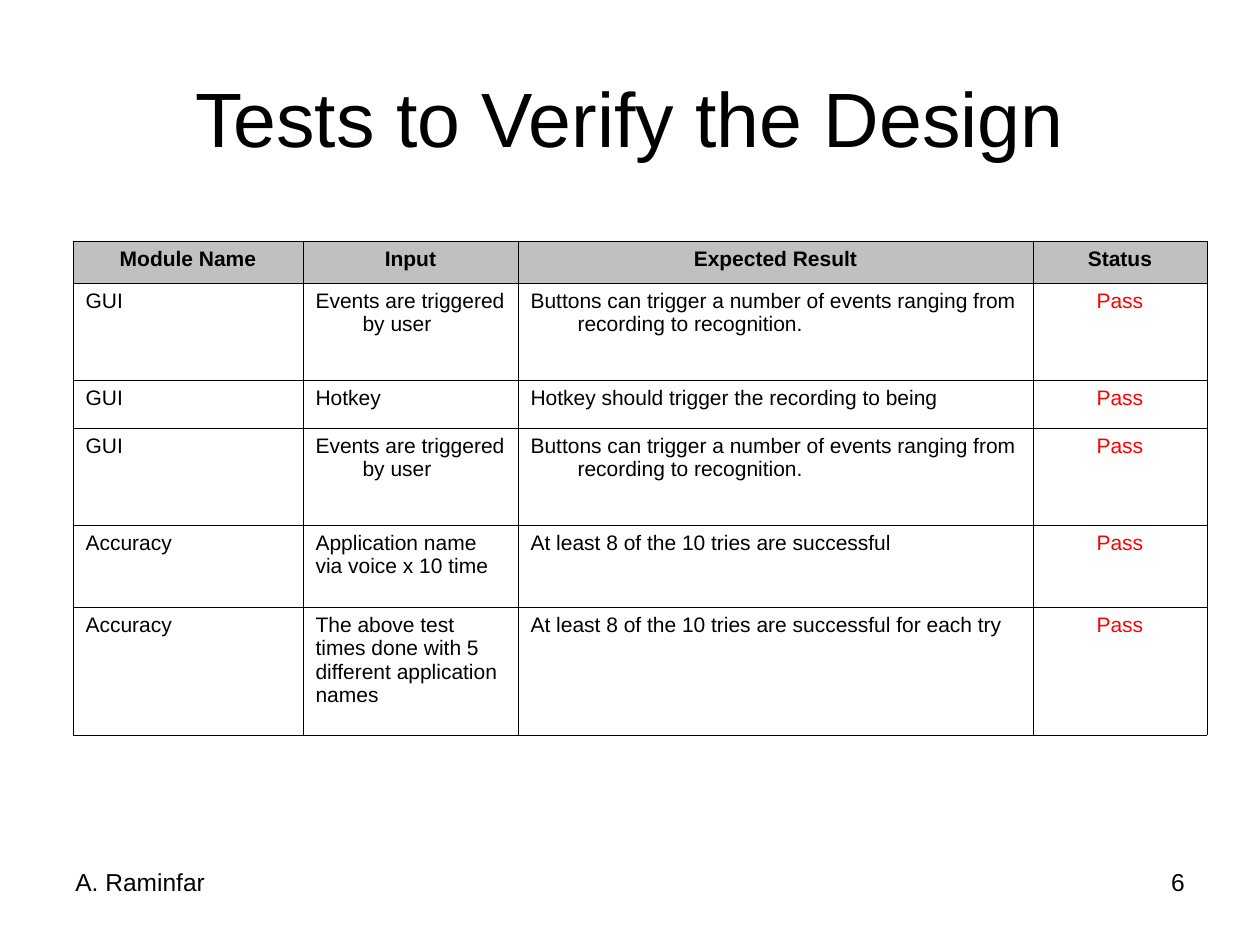
from lxml import etree
from pptx import Presentation
from pptx.dml.color import RGBColor
from pptx.enum.text import MSO_ANCHOR, PP_ALIGN
from pptx.oxml.ns import qn
from pptx.util import Emu, Pt

LEFT, MID, RIGHT = PP_ALIGN.LEFT, PP_ALIGN.CENTER, PP_ALIGN.RIGHT
MIDDLE = MSO_ANCHOR.MIDDLE
BLACK = RGBColor(0x00, 0x00, 0x00)
RED = RGBColor(0xFF, 0x00, 0x00)
GREY = RGBColor(0xC0, 0xC0, 0xC0)
FONT = "Arial"
SCALE = 914400 / 126

COLS = (230, 215, 515, 174)
ROWS = (42, 97, 48, 97, 82, 128)
HANG = 47
EVENTS = ("GUI", "Events are triggered by user",
          "Buttons can trigger a number of events ranging from "
          "recording to recognition.", "Pass")
TESTS = (
    ("Module Name", "Input", "Expected Result", "Status"),
    EVENTS,
    ("GUI", "Hotkey", "Hotkey should trigger the recording to being", "Pass"),
    EVENTS,
    ("Accuracy", "Application name\nvia voice x 10 time",
     "At least 8 of the 10 tries are successful", "Pass"),
    ("Accuracy",
     "The above test\ntimes done with 5\ndifferent application\nnames",
     "At least 8 of the 10 tries are successful for each try", "Pass"),
)


def px(n):
    return Emu(round(n * SCALE))


def write(frame, text, size, align=LEFT, color=BLACK, bold=False):
    frame.text = text
    for para in frame.paragraphs:
        para.alignment = align
        for run in para.runs:
            font = run.font
            font.name, font.size, font.bold = FONT, Pt(size), bold
            font.color.rgb = color


def place(shape, left, top, width, height):
    shape.left, shape.top = px(left), px(top)
    shape.width, shape.height = px(width), px(height)


def add_title(slide, text):
    title = slide.shapes.title
    place(title, 63, 38, 1134, 157)
    title.text_frame.vertical_anchor = MIDDLE
    write(title.text_frame, text, 44, MID)


def add_foot(slide, left, text, align):
    box = slide.shapes.add_textbox(px(left), px(861), px(294), px(65))
    box.text_frame.word_wrap = True
    write(box.text_frame, text, 14, align)


def hang(frame):
    """Indent every line but the first of each paragraph."""
    for para in frame.paragraphs:
        props = para._p.get_or_add_pPr()
        props.set("marL", str(px(HANG)))
        props.set("indent", str(-px(HANG)))


def edge(cell):
    """Draw a thin black line on all four sides of a cell."""
    props = cell._tc.get_or_add_tcPr()
    for side in ("lnL", "lnR", "lnT", "lnB"):
        line = etree.SubElement(props, qn(f"a:{side}"), w=str(Pt(0.45)))
        fill = etree.SubElement(line, qn("a:solidFill"))
        etree.SubElement(fill, qn("a:srgbClr"), val=str(BLACK))


def add_tests(slide):
    table = slide.shapes.add_table(
        len(ROWS), len(COLS), px(73), px(241),
        px(sum(COLS)), px(sum(ROWS))).table
    table.first_row = table.horz_banding = False
    for col, width in zip(table.columns, COLS):
        col.width = px(width)
    for row, height in zip(table.rows, ROWS):
        row.height = px(height)
    for r, test in enumerate(TESTS):
        head = r == 0
        for c, text in enumerate(test):
            cell = table.cell(r, c)
            status = c == len(COLS) - 1
            write(cell.text_frame, text, 12,
                  MID if head or status else LEFT,
                  RED if status and not head else BLACK, head)
            hang(cell.text_frame)
            edge(cell)
            if head:
                cell.fill.solid()
                cell.fill.fore_color.rgb = GREY
            else:
                cell.fill.background()


def main():
    deck = Presentation()
    deck.slide_width, deck.slide_height = px(1260), px(945)
    slide = deck.slides.add_slide(deck.slide_layouts[5])
    add_title(slide, "Tests to Verify the Design")
    add_tests(slide)
    add_foot(slide, 903, "6", RIGHT)
    add_foot(slide, 63, "A. Raminfar", LEFT)
    deck.save("out.pptx")


if __name__ == "__main__":
    main()
